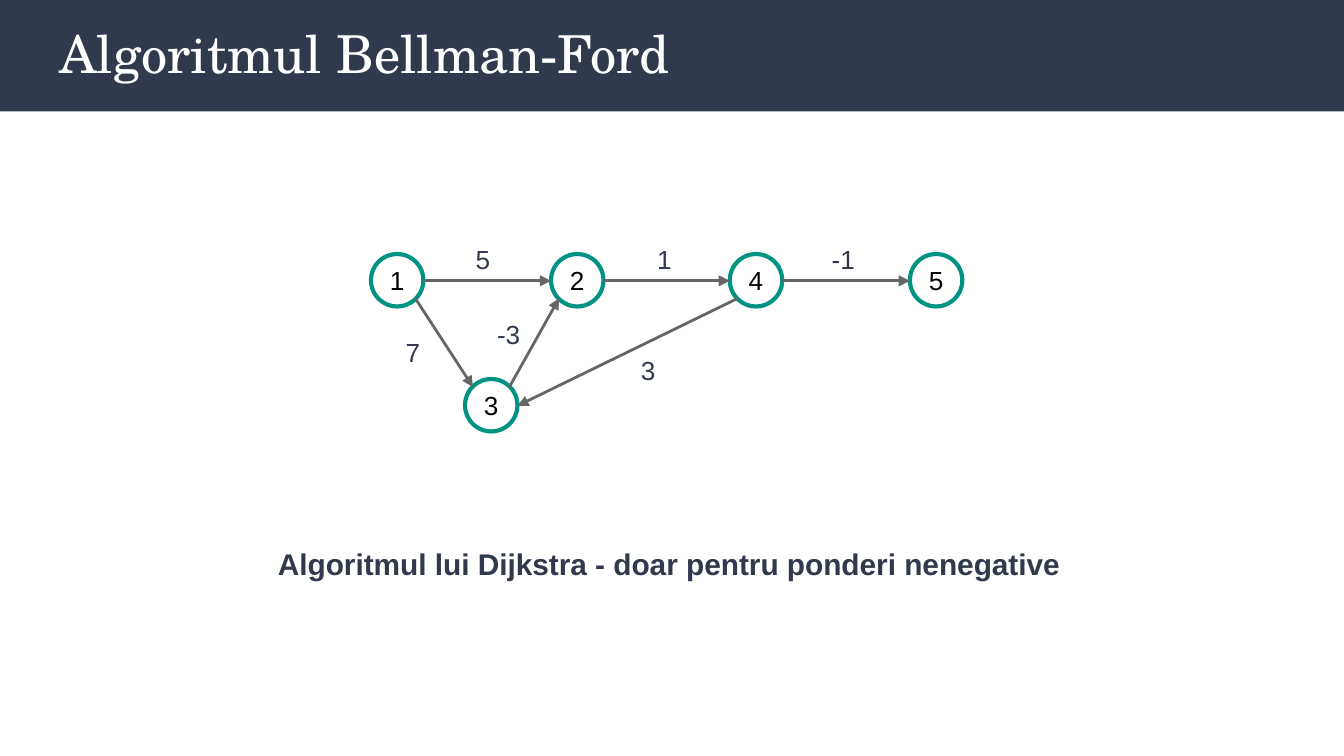
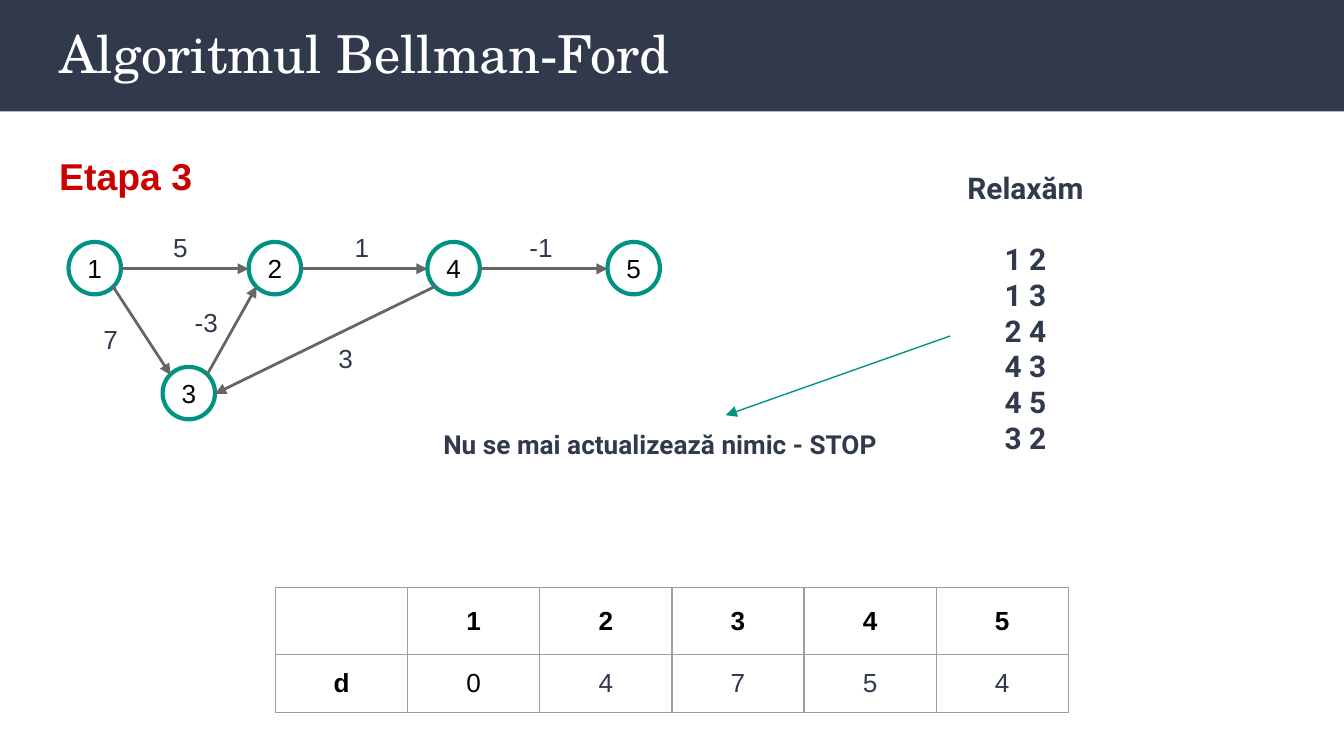
from lxml.etree import SubElement
from pptx import Presentation
from pptx.dml.color import RGBColor
from pptx.enum.shapes import MSO_CONNECTOR, MSO_SHAPE
from pptx.enum.text import MSO_ANCHOR, MSO_AUTO_SIZE, PP_ALIGN
from pptx.oxml.ns import qn
from pptx.util import Emu, Inches, Pt

EMU_PER_PX = 9144  # 100 px to the inch
INSET = 10

NAVY, TEAL, RED = "31394D", "009384", "CC0000"
WHITE, BLACK = "FFFFFF", "000000"
EDGE_GREY, BORDER_GREY = "666666", "9E9E9E"
TITLE_FONT, BODY_FONT, ACCENT_FONT = "TeX Gyre Schola", "Arial", "Roboto"

TITLE = "Algoritmul Bellman-Ford"
TITLE_BOX = (34, 6, 932, 68)
BODY_BOX = (34, 99, 932, 411)

# Graph geometry, relative to the top left corner of node 1
NODE_SIZE = 39
NODES = {"1": (0, 0), "2": (134, 0), "4": (267, 0), "5": (401, 0), "3": (70, 93)}
PORTS = {
    "left": (0, 20), "right": (39, 20),
    "top left": (6, 6), "bottom left": (6, 33), "bottom right": (33, 33),
    "top right": (33, 6),
}
EDGES = [
    ("1", "right", "2", "left"),
    ("1", "bottom right", "3", "top left"),
    ("3", "top right", "2", "bottom left"),
    ("2", "right", "4", "left"),
    ("4", "bottom left", "3", "right"),
    ("4", "right", "5", "left"),
]
WEIGHTS = [
    ("5", 68, -18), ("1", 203, -18), ("-1", 333, -18),
    ("7", 16, 51), ("-3", 84, 38), ("3", 191, 65),
]
RELAXATIONS = ["Relaxăm", "1 2", "1 3", "2 4", "4 3", "4 5", "3 2"]
DISTANCES = [["", "1", "2", "3", "4", "5"], ["d", "0", "4", "7", "5", "4"]]


def px(length):
    return Emu(length * EMU_PER_PX)


def rgb(color):
    return RGBColor.from_string(color)


def place(shape, box):
    shape.left, shape.top, shape.width, shape.height = map(px, box)


def set_insets(owner, inset):
    owner.margin_left = owner.margin_right = px(inset)
    owner.margin_top = owner.margin_bottom = px(inset)


def write(frame, lines, *, size, color=NAVY, font=BODY_FONT, bold=False,
          align=PP_ALIGN.LEFT, spacing=1.0, after=0, gap_below_first=0):
    """Fill a text frame with one paragraph for each line."""
    for index, line in enumerate([lines] if isinstance(lines, str) else lines):
        paragraph = frame.add_paragraph() if index else frame.paragraphs[0]
        paragraph.text = line
        paragraph.alignment = align
        paragraph.line_spacing = spacing
        paragraph.space_before = Pt(gap_below_first if index == 1 else 0)
        paragraph.space_after = Pt(after)
        style = paragraph.runs[0].font
        style.name, style.size, style.bold = font, Pt(size), bold
        style.color.rgb = rgb(color)


def add_text(shapes, box, lines, **style):
    textbox = shapes.add_textbox(*map(px, box))
    frame = textbox.text_frame
    frame.word_wrap = True
    set_insets(frame, INSET)
    write(frame, lines, **style)
    frame.auto_size = MSO_AUTO_SIZE.SHAPE_TO_FIT_TEXT


def add_arrow(shapes, start, end, color, width):
    arrow = shapes.add_connector(MSO_CONNECTOR.STRAIGHT, *map(px, start + end))
    arrow.line.color.rgb = rgb(color)
    arrow.line.width = Pt(width)
    properties = arrow.element.spPr
    SubElement(properties.find(qn("a:ln")), qn("a:tailEnd"), type="triangle")
    SubElement(properties, qn("a:effectLst"))


def fill_placeholder(placeholder, box, text, **style):
    place(placeholder, box)
    frame = placeholder.text_frame
    set_insets(frame, INSET)
    frame.vertical_anchor = MSO_ANCHOR.TOP
    frame.auto_size = MSO_AUTO_SIZE.NONE
    write(frame, text, **style)


def add_master_band(prs, slide):
    """Build the title band and move it behind everything on the master."""
    band = slide.shapes.add_shape(
        MSO_SHAPE.RECTANGLE, 0, 0, prs.slide_width, px(83))
    band.shadow.inherit = False
    band.fill.solid()
    band.fill.fore_color.rgb = rgb(NAVY)
    band.line.fill.background()
    band.element.nvSpPr.cNvPr.set("id", "100")
    prs.slide_master.shapes[0].element.addprevious(band.element)


def add_titled_slide(prs, layout_index):
    slide = prs.slides.add_slide(prs.slide_layouts[layout_index])
    fill_placeholder(slide.shapes.title, TITLE_BOX, TITLE,
                     size=28, color=WHITE, font=TITLE_FONT)
    return slide


def add_node(shapes, left, top, label):
    node = shapes.add_shape(
        MSO_SHAPE.OVAL, *map(px, (left, top, NODE_SIZE, NODE_SIZE)))
    node.shadow.inherit = False
    node.fill.background()
    node.line.color.rgb = rgb(TEAL)
    node.line.width = Pt(2.25)
    set_insets(node.text_frame, 2)
    node.text_frame.vertical_anchor = MSO_ANCHOR.MIDDLE
    write(node.text_frame, label, size=14, color=BLACK, align=PP_ALIGN.CENTER)


def add_graph(slide, left, top):
    shapes = slide.shapes.add_group_shape().shapes

    def port(node, side):
        (node_x, node_y), (port_x, port_y) = NODES[node], PORTS[side]
        return left + node_x + port_x, top + node_y + port_y

    for label, (x, y) in NODES.items():
        add_node(shapes, left + x, top + y, label)
    for source, exit_side, target, entry_side in EDGES:
        add_arrow(shapes, port(source, exit_side), port(target, entry_side),
                  EDGE_GREY, 1.5)
    for weight, x, y in WEIGHTS:
        add_text(shapes, (left + x, top + y, 42, 44), weight, size=14)


def add_borders(cell):
    properties = cell._tc.get_or_add_tcPr()
    for side in ("lnL", "lnR", "lnT", "lnB"):
        border = SubElement(properties, qn(f"a:{side}"), w=str(Pt(0.75)))
        fill = SubElement(border, qn("a:solidFill"))
        SubElement(fill, qn("a:srgbClr"), val=BORDER_GREY)


def add_distance_table(slide, left, top):
    row_heights = (42, 43)
    table = slide.shapes.add_table(
        len(DISTANCES), len(DISTANCES[0]),
        *map(px, (left, top, 590, sum(row_heights)))).table
    table.first_row = table.horz_banding = False
    for r, values in enumerate(DISTANCES):
        table.rows[r].height = px(row_heights[r])
        for c, value in enumerate(values):
            cell = table.cell(r, c)
            add_borders(cell)
            cell.fill.background()
            set_insets(cell, INSET)
            cell.vertical_anchor = MSO_ANCHOR.MIDDLE
            if value:
                write(cell.text_frame, value, size=14, align=PP_ALIGN.CENTER,
                      bold=r == 0 or c == 0,
                      color=NAVY if r and c > 1 else BLACK)


def build_problem_slide(prs):
    slide = add_titled_slide(prs, 5)
    add_master_band(prs, slide)
    add_graph(slide, 276, 189)
    add_text(slide.shapes, (197, 396, 606, 47),
             "Algoritmul lui Dijkstra - doar pentru ponderi nenegative",
             size=16, bold=True)


def build_stage_slide(prs):
    slide = add_titled_slide(prs, 1)
    stage = slide.placeholders[1]
    bullet = stage.text_frame.paragraphs[0]._p.get_or_add_pPr()
    bullet.set("marL", "0")
    bullet.set("indent", "0")
    SubElement(bullet, qn("a:buNone"))
    fill_placeholder(stage, BODY_BOX, "Etapa 3", size=20, color=RED,
                     bold=True, spacing=1.15, after=12)
    add_graph(slide, 51, 180)
    add_text(slide.shapes, (703, 116, 120, 236), RELAXATIONS, size=16,
             font=ACCENT_FONT, bold=True, align=PP_ALIGN.CENTER,
             gap_below_first=19)
    add_distance_table(slide, 205, 437)
    add_text(slide.shapes, (320, 309, 360, 44),
             "Nu se mai actualizează nimic - STOP",
             size=14, font=ACCENT_FONT, bold=True)
    add_arrow(slide.shapes, (707, 250), (540, 309), TEAL, 0.75)


def main():
    prs = Presentation()
    prs.slide_width, prs.slide_height = Inches(10), Inches(5.625)
    build_problem_slide(prs)
    build_stage_slide(prs)
    prs.save("out.pptx")


if __name__ == "__main__":
    main()
